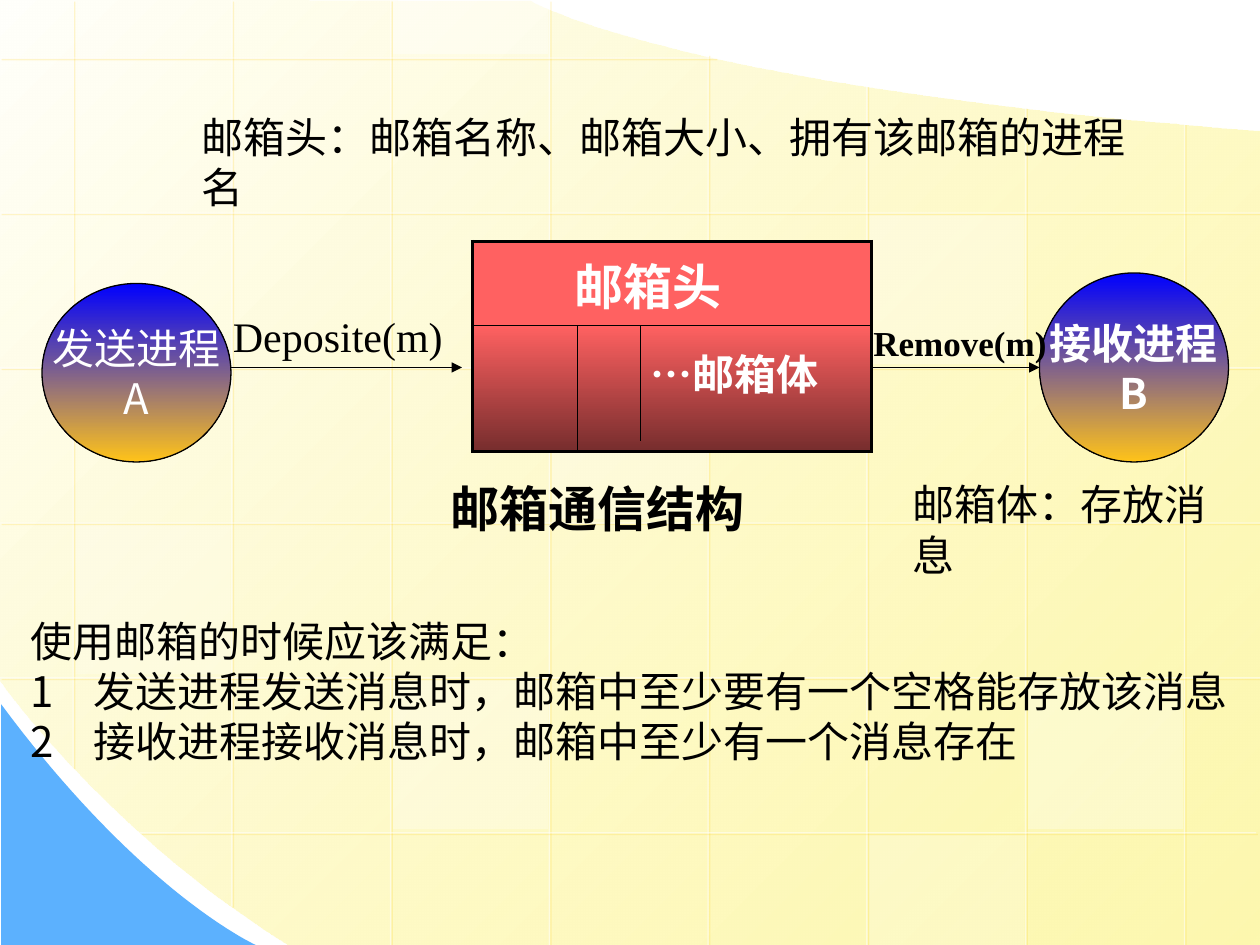
from dataclasses import dataclass

from lxml.etree import SubElement
from pptx import Presentation
from pptx.dml.color import RGBColor as Rgb
from pptx.enum.shapes import MSO_CONNECTOR as Link, MSO_SHAPE as Preset
from pptx.enum.text import MSO_ANCHOR as Anchor, PP_ALIGN as Align
from pptx.oxml import parse_xml
from pptx.oxml.ns import nsdecls, qn
from pptx.util import Inches, Pt


@dataclass(frozen=True)
class Theme:
    black: str = "000000"
    white: str = "FFFFFF"
    cream: str = "FFFFFB"
    yellow: str = "FDF58D"
    glow: str = "FFCC00"
    sky: str = "5CB1FE"
    blue: str = "0000FF"
    amber: str = "FFC319"
    red: str = "FF6161"
    maroon: str = "762D2D"
    serif: str = "Times New Roman"
    sans: str = "Arial"
    chinese: str = "Noto Sans CJK SC"
    heading: int = 28
    body: int = 24
    small: int = 20
    thin: float = 0.75
    rule: float = 1
    frame: float = 2.25


THEME = Theme()
WIDTH, HEIGHT = 10, 7.5  # slide size in inches
GRID_LEFT, GRID_TOP, COLUMN, ROW = 0.58, 0.46, 1.26, 1.23  # background grid


def unit(count):
    """The diagram sits on a grid of twelve units to the inch."""
    return Inches(count / 12)


def set_alpha(color, percent):
    SubElement(color, qn("a:alpha")).set("val", str(percent * 1000))


def fill_gradient(fill, start, end, angle):
    fill.gradient()
    fill.gradient_angle = 360 - angle
    for stop, color in zip(fill.gradient_stops, (start, end)):
        stop.color.rgb = Rgb.from_string(color)


def fill_solid(fill, color):
    fill.solid()
    fill.fore_color.rgb = Rgb.from_string(color)


def set_font(para, size, name, color, bold=False):
    font = para.font
    font.size, font.name, font.bold = Pt(size), name, bold
    font.color.rgb = Rgb.from_string(color)
    latin = para._p.pPr.find(qn("a:defRPr")).find(qn("a:latin"))
    latin.addnext(parse_xml(f'<a:ea {nsdecls("a")} typeface="{THEME.chinese}"/>'))


def set_indent(para, left, first=0):
    props = para._p.get_or_add_pPr()
    props.set("marL", str(Inches(left)))
    props.set("indent", str(Inches(first)))


def add_number(para):
    props = para._p.get_or_add_pPr()
    SubElement(props, qn("a:buFont")).set("typeface", THEME.chinese)
    SubElement(props, qn("a:buAutoNum")).set("type", "arabicPlain")


# Background
def curve(p0, p1, p2, p3, steps=40):
    """Points along a cubic Bezier curve."""
    def blend(axis, t):
        s = 1 - t
        return (s**3 * p0[axis] + 3 * s * s * t * p1[axis]
                + 3 * s * t * t * p2[axis] + t**3 * p3[axis])
    return [(blend(0, i / steps), blend(1, i / steps)) for i in range(steps + 1)]


def add_outline(slide, points):
    start, *rest = [(Inches(x), Inches(y)) for x, y in points]
    builder = slide.shapes.build_freeform(*start, scale=1.0)
    builder.add_line_segments(rest, close=True)
    shape = builder.convert_to_shape()
    shape.shadow.inherit = False
    shape.line.fill.background()
    return shape


def add_line(slide, begin, end, color=THEME.black, arrow=False):
    line = slide.shapes.add_connector(Link.STRAIGHT, *begin, *end)
    line.line.width = Pt(THEME.thin)
    line.line.color.rgb = Rgb.from_string(color)
    if arrow:
        SubElement(line.line._get_or_add_ln(), qn("a:tailEnd")).set("type", "triangle")
    SubElement(line._element.spPr, qn("a:effectLst"))
    return line


def add_grid_line(slide, x1, y1, x2, y2):
    line = add_line(slide, (Inches(x1), Inches(y1)), (Inches(x2), Inches(y2)), THEME.white)
    props = line._element.spPr
    set_alpha(next(props.iter(qn("a:srgbClr"))), 50)
    shadow = SubElement(props.find(qn("a:effectLst")), qn("a:outerShdw"),
                        blurRad="0", dist=str(Pt(1.4)), dir="2700000")
    set_alpha(SubElement(shadow, qn("a:srgbClr"), val=THEME.glow), 34)


def add_tile(slide, column, row, opacity):
    """A pale square inside one cell of the background grid."""
    left = GRID_LEFT + column * COLUMN + 0.02
    top = GRID_TOP + row * ROW + 0.02
    bottom = min(HEIGHT, top + ROW - 0.05)
    top = max(0, top)
    tile = slide.shapes.add_shape(Preset.RECTANGLE, Inches(left), Inches(top),
                                  Inches(COLUMN - 0.03), Inches(bottom - top))
    tile.shadow.inherit = False
    tile.line.fill.background()
    fill_solid(tile.fill, THEME.white)
    set_alpha(next(tile._element.spPr.iter(qn("a:srgbClr"))), opacity)


def add_background(slide):
    swoosh = [(10, 7.5)]
    swoosh += curve((2.3, 7.5), (0.86, 6.61), (-0.01, 5.39), (0, 5.39))
    swoosh += [(-0.01, -0.01)]
    swoosh += curve((4.21, 0.01), (4.21, 0.01), (5.37, 0.69), (10, 1.04))
    sheet = add_outline(slide, swoosh)
    fill_gradient(sheet.fill, THEME.cream, THEME.yellow, 45)
    set_alpha(list(sheet._element.spPr.iter(qn("a:srgbClr")))[-1], 70)

    corner = curve((2.03, 7.5), (2.03, 7.5), (1.12, 7.09), (0.01, 5.59))
    fill_solid(add_outline(slide, corner + [(0.01, 7.5)]).fill, THEME.sky)

    tops = [0, 0, 0, 0, 0.43, 0.68, 0.85, 0.98]
    bottoms = [6.09, 7.19] + [HEIGHT] * 6
    for i, (top, bottom) in enumerate(zip(tops, bottoms)):
        x = GRID_LEFT + i * COLUMN
        add_grid_line(slide, x, top, x, bottom)
    spans = [(5.68, 0)] + [(WIDTH, 0)] * 4 + [(9.97, 1.11)]
    for i, (right, left) in enumerate(spans):
        y = GRID_TOP + i * ROW
        add_grid_line(slide, right, y, left, y)
    for tile in [(3, 2, 25), (6, 4, 30), (0, 3, 20), (5, 5, 20),
                 (2, -1, 40), (2, 4, 30), (5, 1, 30)]:
        add_tile(slide, *tile)


# Diagram
def add_process(slide, place, lines, bold=False):
    circle = slide.shapes.add_shape(Preset.OVAL, *map(unit, place))
    circle.shadow.inherit = False
    fill_gradient(circle.fill, THEME.blue, THEME.amber, 90)
    circle.line.color.rgb = Rgb.from_string(THEME.black)
    circle.line.width = Pt(THEME.thin)
    frame = circle.text_frame
    frame.word_wrap, frame.vertical_anchor = False, Anchor.MIDDLE
    frame.text = "\n".join(lines)
    for para in frame.paragraphs:
        para.alignment = Align.CENTER
        set_font(para, THEME.body, THEME.chinese, THEME.white, bold)


def add_text(slide, place, lines, size=THEME.body, bold=False, wrap=True):
    box = slide.shapes.add_textbox(*map(unit, place))
    frame = box.text_frame
    frame.word_wrap = wrap
    frame.text = "\n".join(lines)
    for i, para in enumerate(frame.paragraphs):
        if len(lines) > 1:
            set_indent(para, 0.5, -0.5)
            if i:
                add_number(para)
        set_font(para, size, THEME.serif, THEME.black, bold)
    return frame


def set_borders(cell, top, bottom):
    widths = {"lnL": THEME.frame, "lnR": THEME.frame, "lnT": top, "lnB": bottom}
    for i, (tag, width) in enumerate(widths.items()):
        cell._tc.get_or_add_tcPr().insert(i, parse_xml(
            f'<a:{tag} {nsdecls("a")} w="{Pt(width)}"><a:solidFill>'
            f'<a:srgbClr val="{THEME.black}"/></a:solidFill></a:{tag}>'))


def add_mailbox(slide):
    table = slide.shapes.add_table(2, 1, *map(unit, (45, 23, 38, 20))).table
    table.first_row = table.horz_banding = False
    head, body = table.cell(0, 0), table.cell(1, 0)
    table.rows[0].height, table.rows[1].height = unit(8), unit(12)
    for cell, text, size, left, top in [(head, "邮箱头", THEME.heading, 0.81, 0.06),
                                        (body, "…邮箱体", THEME.body, 1.41, 0.13)]:
        cell.text = text
        cell.margin_left, cell.margin_top = Inches(left), Inches(top)
        cell.margin_bottom = Inches(0.03)
        set_font(cell.text_frame.paragraphs[0], size, THEME.sans, THEME.white, True)
    fill_solid(head.fill, THEME.red)
    fill_gradient(body.fill, THEME.red, THEME.maroon, 90)
    set_borders(head, THEME.frame, THEME.rule)
    set_borders(body, THEME.rule, THEME.frame)
    # Slots of the mailbox body
    for x, bottom in [(55, 43), (61, 42)]:
        add_line(slide, (unit(x), unit(31)), (unit(x), unit(bottom)))


def main():
    deck = Presentation()
    deck.slide_width, deck.slide_height = Inches(WIDTH), Inches(HEIGHT)
    slide = deck.slides.add_slide(deck.slide_layouts[6])
    add_background(slide)

    # Sender, mailbox and receiver
    add_process(slide, (4, 27, 18, 17), ["发送进程", "A"])
    add_mailbox(slide)
    add_process(slide, (99, 26, 18, 18), ["接收进程", "B"], bold=True)
    for left, right in [(22, 44), (83, 99)]:
        add_line(slide, (unit(left), unit(35)), (unit(right), unit(35)), arrow=True)
    add_text(slide, (21, 29, 24, 6), ["Deposite(m)"])
    add_text(slide, (82, 30, 19, 5.2), ["Remove(m)"], THEME.small, bold=True)

    # Caption, explanations and rules
    caption = add_text(slide, (21, 45, 76, 6.8), ["邮箱通信结构"], THEME.heading, bold=True)
    set_indent(caption.paragraphs[0], 1.73)
    add_text(slide, (18, 10, 94.3, 6), ["邮箱头：邮箱名称、邮箱大小、拥有该邮箱的进程名"], wrap=False)
    add_text(slide, (85.7, 45, 34.3, 6), ["邮箱体：存放消息"], wrap=False)
    add_text(slide, (1.7, 58, 116.4, 15.6), [
        "使用邮箱的时候应该满足：",
        "发送进程发送消息时，邮箱中至少要有一个空格能存放该消息",
        "接收进程接收消息时，邮箱中至少有一个消息存在",
    ], wrap=False)
    deck.save("out.pptx")


if __name__ == "__main__":
    main()
